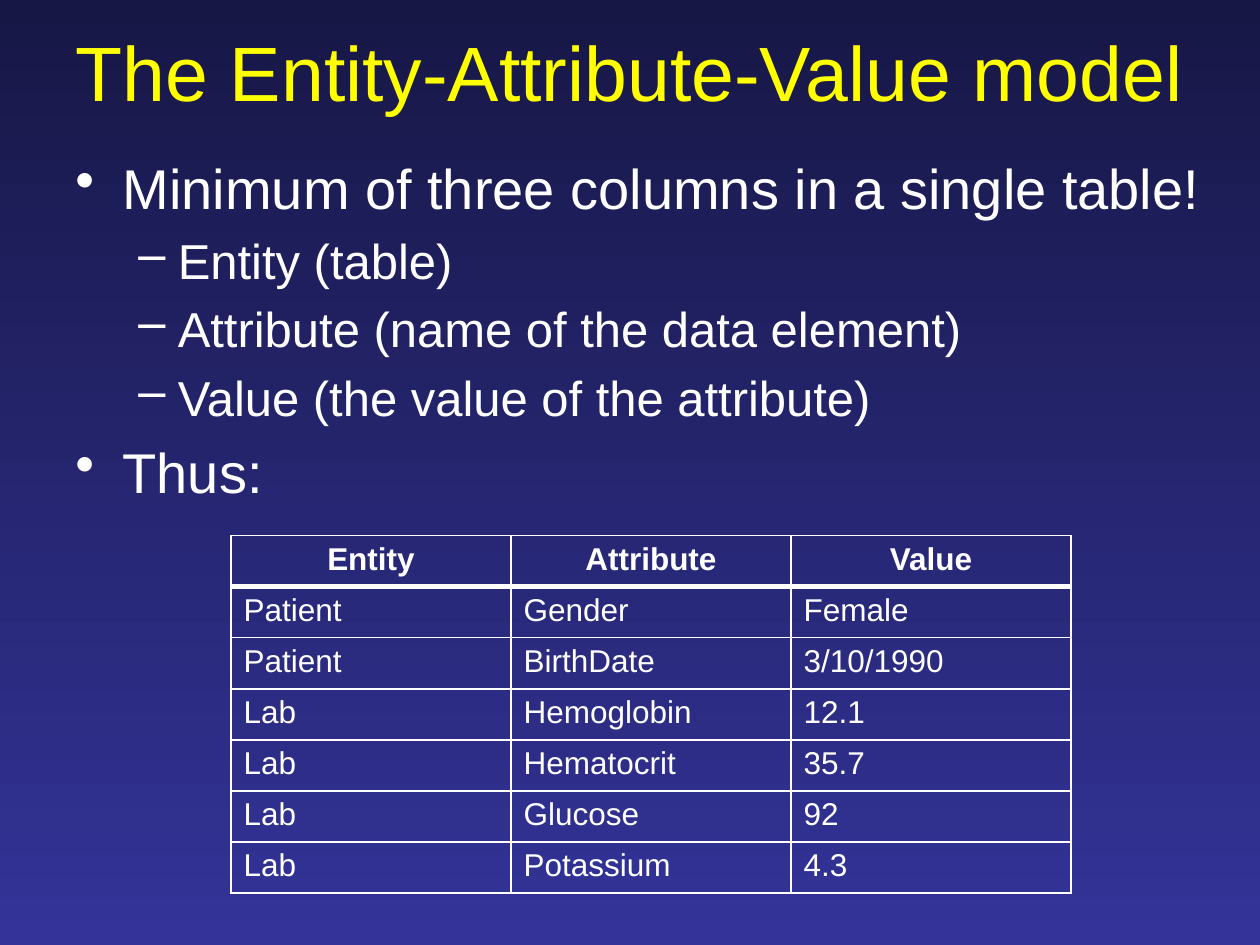
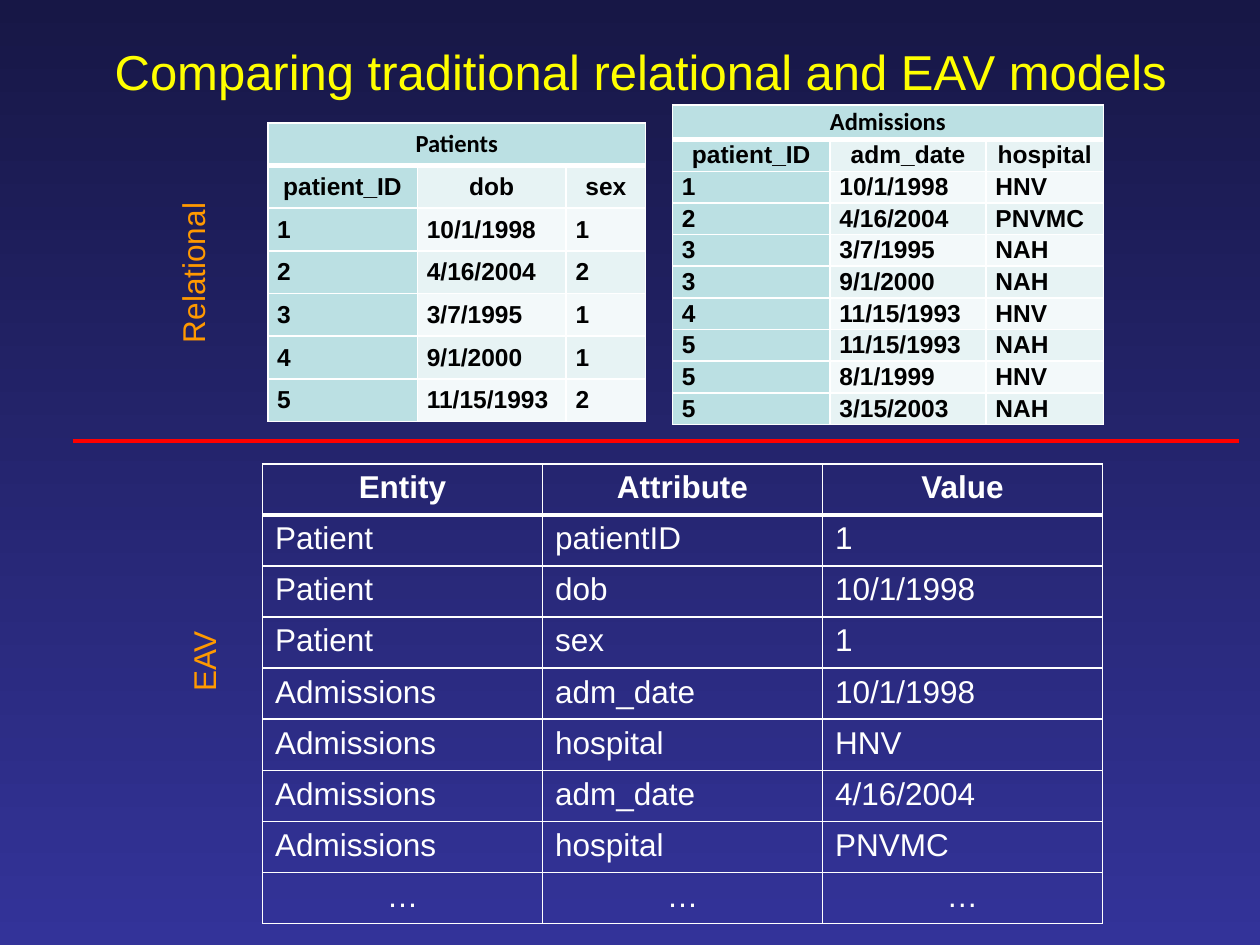
from dataclasses import dataclass

from lxml import etree
from pptx import Presentation
from pptx.dml.color import RGBColor
from pptx.enum.shapes import MSO_CONNECTOR
from pptx.enum.text import MSO_ANCHOR, MSO_AUTO_SIZE, PP_ALIGN
from pptx.oxml.ns import qn
from pptx.util import Pt

CENTER, LEFT = PP_ALIGN.CENTER, PP_ALIGN.LEFT
TOP, MIDDLE = MSO_ANCHOR.TOP, MSO_ANCHOR.MIDDLE
FIT_SHAPE = MSO_AUTO_SIZE.SHAPE_TO_FIT_TEXT
STRAIGHT = MSO_CONNECTOR.STRAIGHT
BLANK_LAYOUT = 6
DOWNWARD = 270


@dataclass(frozen=True)
class Theme:
    """Colours, fonts and type sizes of the deck."""
    back_top: str = "171746"
    back_bottom: str = "333399"
    title: str = "FFFF00"
    text: str = "FFFFFF"
    label: str = "FF9900"
    rule: str = "FF0000"
    ink: str = "000000"
    key_fill: str = "BBE0E3"
    bands: tuple = ("E7F3F4", "F3F9FA")
    font: str = "Arial"
    caption_font: str = "Calibri"
    title_size: int = 44
    small_title_size: int = 28
    bullet_sizes: tuple = (32, 28)
    bullet_marks: tuple = ("•", "–")
    bullet_indents: tuple = ((27, -27), (58.5, -22.5))
    table_size: int = 18
    data_size: int = 14
    border: int = 1
    heavy_border: int = 3


class Builder:
    """Holds the theme and the current slide, and draws elements on it."""

    def __init__(self, deck, theme):
        """Keep the deck and its theme."""
        self.deck, self.theme, self.page = deck, theme, None

    def new_page(self):
        """Start a blank slide with the shared gradient."""
        self.page = self.deck.slides.add_slide(self.deck.slide_layouts[BLANK_LAYOUT])
        fill = self.page.background.fill
        fill.gradient()
        fill.gradient_angle = DOWNWARD
        colors = (self.theme.back_top, self.theme.back_bottom)
        for stop, color in zip(fill.gradient_stops, colors):
            stop.color.rgb = RGBColor.from_string(color)

    def span(self, para, text, size, color, bold=False, font=None):
        """Add one run to a paragraph."""
        span = para.add_run()
        span.text = text
        span.font.name = font or self.theme.font
        span.font.size = Pt(size)
        span.font.bold = bold
        span.font.color.rgb = RGBColor.from_string(color)

    def box(self, left, top, width, height, anchor=TOP):
        """Add an empty wrapping text box."""
        box = self.page.shapes.add_textbox(Pt(left), Pt(top), Pt(width), Pt(height))
        box.text_frame.word_wrap = True
        box.text_frame.vertical_anchor = anchor
        return box

    def title(self, text, left, top, width, height, size):
        """Add a centred slide title."""
        para = self.box(left, top, width, height, MIDDLE).text_frame.paragraphs[0]
        para.alignment = CENTER
        self.span(para, text, size, self.theme.title)

    def bullets(self, items, left, top, width, height):
        """Add a list of (level, text) items, spaced by 20% of a line."""
        frame = self.box(left, top, width, height).text_frame
        for number, (level, text) in enumerate(items):
            para = frame.add_paragraph() if number else frame.paragraphs[0]
            para.level = level
            margin, indent = self.theme.bullet_indents[level]
            props = para._p.get_or_add_pPr()
            props.set("marL", str(Pt(margin)))
            props.set("indent", str(Pt(indent)))
            space = etree.SubElement(props, qn("a:spcBef"))
            etree.SubElement(space, qn("a:spcPct"), val="20000")
            etree.SubElement(props, qn("a:buChar"), char=self.theme.bullet_marks[level])
            self.span(para, text, self.theme.bullet_sizes[level], self.theme.text)

    def side_label(self, text, left, top, width, height):
        """Add a label that reads upwards."""
        box = self.box(left, top, width, height)
        box.text_frame.word_wrap = False
        box.text_frame.auto_size = FIT_SHAPE
        box.rotation = 270
        self.span(box.text_frame.paragraphs[0], text, self.theme.table_size,
                  self.theme.label)

    def rule(self, left, right, y):
        """Add a horizontal dividing line."""
        line = self.page.shapes.add_connector(STRAIGHT, Pt(left), Pt(y), Pt(right), Pt(y))
        line.line.color.rgb = RGBColor.from_string(self.theme.rule)
        line.line.width = Pt(2.25)
        etree.SubElement(line._element.spPr, qn("a:effectLst"))

    def grid(self, left, top, widths, heights):
        """Add a bordered table without text."""
        table = self.page.shapes.add_table(
            len(heights), len(widths), Pt(left), Pt(top),
            Pt(sum(widths)), Pt(sum(heights))).table
        table.horz_banding = False
        for column, width in zip(table.columns, widths):
            column.width = Pt(width)
        for number, (row, height) in enumerate(zip(table.rows, heights)):
            row.height = Pt(height)
            for cell in row.cells:
                self.borders(cell, number)
        return table

    def borders(self, cell, row_number):
        """Outline a cell, with a heavy line below the first row."""
        props = cell._tc.get_or_add_tcPr()
        for side in "LRTB":
            if side == "T" and row_number == 1:
                continue
            heavy = side == "B" and row_number == 0
            width = self.theme.heavy_border if heavy else self.theme.border
            line = etree.SubElement(props, qn("a:ln" + side), w=str(Pt(width)))
            fill = etree.SubElement(line, qn("a:solidFill"))
            etree.SubElement(fill, qn("a:srgbClr"), val=self.theme.text)

    def eav_table(self, rows, left, top):
        """Add a transparent entity, attribute, value table."""
        rows = [("Entity", "Attribute", "Value")] + rows
        table = self.grid(left, top, [160] * 3, [29.2] * len(rows))
        for r, values in enumerate(rows):
            for c, text in enumerate(values):
                cell = table.cell(r, c)
                cell.fill.background()
                para = cell.text_frame.paragraphs[0]
                para.alignment = CENTER if r == 0 or text == "…" else LEFT
                self.span(para, text, self.theme.table_size, self.theme.text, r == 0)

    def data_table(self, caption, rows, left, top, widths, caption_height, row_height):
        """Add a banded relational table below a merged caption."""
        heights = [caption_height] + [row_height] * len(rows)
        table = self.grid(left, top, widths, heights)
        table.cell(0, 0).merge(table.cell(0, len(widths) - 1))
        for r, values in enumerate([(caption,)] + rows):
            for c, text in enumerate(values):
                cell = table.cell(r, c)
                keyed = r == 0 or c == 0
                color = self.theme.key_fill if keyed else self.theme.bands[(r - 1) % 2]
                cell.fill.solid()
                cell.fill.fore_color.rgb = RGBColor.from_string(color)
                cell.vertical_anchor = MIDDLE
                cell.margin_left = cell.margin_right = Pt(5.4)
                cell.margin_top = cell.margin_bottom = Pt(0)
                para = cell.text_frame.paragraphs[0]
                para.alignment = CENTER if r < 2 else LEFT
                para.line_spacing = 1.0
                font = self.theme.caption_font if r == 0 else self.theme.font
                self.span(para, text, self.theme.data_size, self.theme.ink, True, font)


def model_page(build):
    """Slide that introduces the model."""
    build.new_page()
    build.title("The Entity-Attribute-Value model", 12, 6, 696, 68.4,
                build.theme.title_size)
    build.bullets([
        (0, "Minimum of three columns in a single table!"),
        (1, "Entity (table)"),
        (1, "Attribute (name of the data element)"),
        (1, "Value (the value of the attribute)"),
        (0, "Thus:"),
    ], 36, 84, 672, 356)
    build.eav_table([
        ("Patient", "Gender", "Female"),
        ("Patient", "BirthDate", "3/10/1990"),
        ("Lab", "Hemoglobin", "12.1"),
        ("Lab", "Hematocrit", "35.7"),
        ("Lab", "Glucose", "92"),
        ("Lab", "Potassium", "4.3"),
    ], 132, 306)


def comparison_page(build):
    """Slide that sets relational tables against one EAV table."""
    build.new_page()
    build.title("Comparing traditional relational and EAV models", 12, 12, 708, 57,
                build.theme.small_title_size)
    build.data_table("Patients", [
        ("patient_ID", "dob", "sex"),
        ("1", "10/1/1998", "1"),
        ("2", "4/16/2004", "2"),
        ("3", "3/7/1995", "1"),
        ("4", "9/1/2000", "1"),
        ("5", "11/15/1993", "2"),
    ], 153, 70.2, (85.5, 85, 45.5), 24.4, 24.4)
    build.data_table("Admissions", [
        ("patient_ID", "adm_date", "hospital"),
        ("1", "10/1/1998", "HNV"),
        ("2", "4/16/2004", "PNVMC"),
        ("3", "3/7/1995", "NAH"),
        ("3", "9/1/2000", "NAH"),
        ("4", "11/15/1993", "HNV"),
        ("5", "11/15/1993", "NAH"),
        ("5", "8/1/1999", "HNV"),
        ("5", "3/15/2003", "NAH"),
    ], 384.3, 60, (90, 89.2, 67), 19.8, 18.1)
    build.eav_table([
        ("Patient", "patientID", "1"),
        ("Patient", "dob", "10/1/1998"),
        ("Patient", "sex", "1"),
        ("Admissions", "adm_date", "10/1/1998"),
        ("Admissions", "hospital", "HNV"),
        ("Admissions", "adm_date", "4/16/2004"),
        ("Admissions", "hospital", "PNVMC"),
        ("…", "…", "…"),
    ], 150, 265)
    build.side_label("Relational", 62.6, 141.1, 95, 29)
    build.side_label("EAV", 91.4, 362.9, 50, 29)
    build.rule(42, 708, 252)


def main():
    """Build and save the deck."""
    deck = Presentation()
    deck.slide_width, deck.slide_height = Pt(720), Pt(540)
    build = Builder(deck, Theme())
    model_page(build)
    comparison_page(build)
    deck.save("out.pptx")


main()
